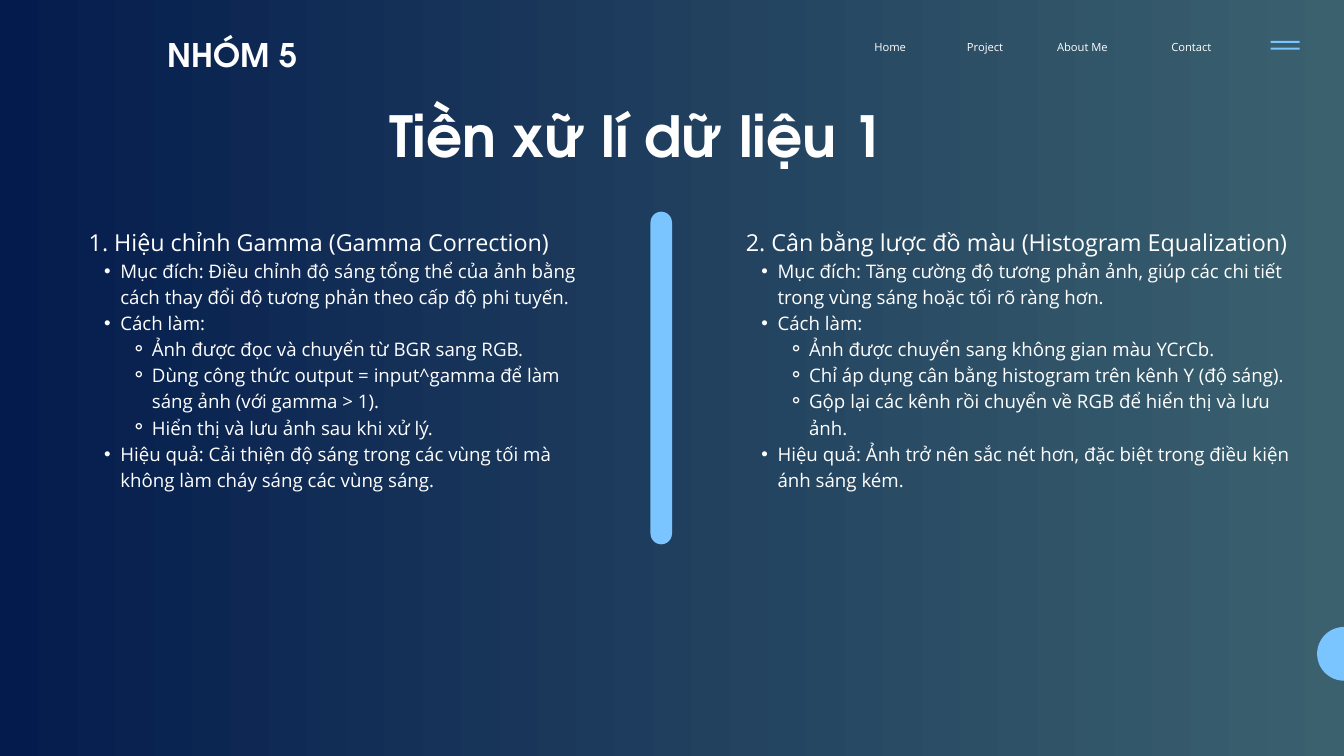
from lxml.etree import SubElement
from pptx import Presentation
from pptx.dml.color import RGBColor
from pptx.enum.shapes import MSO_SHAPE as Kind
from pptx.enum.text import MSO_ANCHOR as Anchor, MSO_AUTO_SIZE as Fit, PP_ALIGN as Align
from pptx.oxml.ns import qn
from pptx.util import Inches, Pt

WIDE, HIGH = 20, 11.25
WHITE, SKY = "FFFFFF", "7AC4FF"
NIGHT, TEAL = "041C4D", "3B616F"
SANS, HEAD = "Open Sans", "TeX Gyre Adventor"

TITLE = "Tiền xữ lí dữ liệu 1"
GROUP = "NHÓM 5"
MENU = [("Home", 13.01, 0.89), ("Project", 14.39, 0.8),
        ("About Me", 15.73, 1.16), ("Contact", 17.43, 1.07)]

# Each column: left, width, lines of (level, text)
COLUMNS = [
    (1.32, 7.51, [
        (0, "1. Hiệu chỉnh Gamma (Gamma Correction)"),
        (1, "Mục đích: Điều chỉnh độ sáng tổng thể của ảnh bằng cách thay đổi "
            "độ tương phản theo cấp độ phi tuyến."),
        (1, "Cách làm:"),
        (2, "Ảnh được đọc và chuyển từ BGR sang RGB."),
        (2, "Dùng công thức output = input^gamma để làm sáng ảnh (với gamma > 1)."),
        (2, "Hiển thị và lưu ảnh sau khi xử lý."),
        (1, "Hiệu quả: Cải thiện độ sáng trong các vùng tối mà không làm cháy "
            "sáng các vùng sáng."),
    ]),
    (11.1, 8.17, [
        (0, "2. Cân bằng lược đồ màu (Histogram Equalization)"),
        (1, "Mục đích: Tăng cường độ tương phản ảnh, giúp các chi tiết trong "
            "vùng sáng hoặc tối rõ ràng hơn."),
        (1, "Cách làm:"),
        (2, "Ảnh được chuyển sang không gian màu YCrCb."),
        (2, "Chỉ áp dụng cân bằng histogram trên kênh Y (độ sáng)."),
        (2, "Gộp lại các kênh rồi chuyển về RGB để hiển thị và lưu ảnh."),
        (1, "Hiệu quả: Ảnh trở nên sắc nét hơn, đặc biệt trong điều kiện ánh "
            "sáng kém."),
    ]),
]

# Per level: bullet, left margin, hanging indent, text size, line pitch
LEVELS = [(None, 0, 0, 25, 35), ("•", 0.47, -0.24, 20, 28), ("⚬", 0.94, -0.31, 20, 28)]


def paint(color, hue):
    color.rgb = RGBColor.from_string(hue)


def place(shape, *box):
    shape.left, shape.top, shape.width, shape.height = map(Inches, box)


def frame(shape):
    """Give a text shape no insets, wrapped text and a top anchor."""
    text = shape.text_frame
    text.margin_left = text.margin_top = text.margin_right = text.margin_bottom = 0
    text.word_wrap = True
    text.auto_size = Fit.SHAPE_TO_FIT_TEXT
    text.vertical_anchor = Anchor.TOP
    return text


def write(para, words, size, pitch, face=SANS, bold=False, align=Align.LEFT):
    para.alignment = align
    para.line_spacing = Pt(pitch)
    para.space_before = Pt(0)
    run = para.add_run()
    run.text = words
    font = run.font
    font.name, font.size, font.bold = face, Pt(size), bold
    paint(font.color, WHITE)


def label(slide, words, box, *style):
    shape = slide.shapes.add_textbox(*map(Inches, box))
    write(frame(shape).paragraphs[0], words, *style)


def item(para, level, words):
    mark, left, hang, size, pitch = LEVELS[level]
    para.level = level
    props = para._p.get_or_add_pPr()
    props.set("marL", str(Inches(left)))
    props.set("indent", str(Inches(hang)))
    if mark:
        SubElement(props, qn("a:buChar")).set("char", mark)
    else:
        SubElement(props, qn("a:buNone"))
    write(para, words, size, pitch)


def block(slide, kind, *box):
    shape = slide.shapes.add_shape(kind, *map(Inches, box))
    shape.shadow.inherit = False
    shape.fill.solid()
    paint(shape.fill.fore_color, SKY)
    shape.line.fill.background()
    return shape


def main():
    deck = Presentation()
    deck.slide_width, deck.slide_height = Inches(WIDE), Inches(HIGH)
    slide = deck.slides.add_slide(deck.slide_layouts.get_by_name("Two Content"))

    back = slide.background.fill
    back.gradient()
    back.gradient_angle = 0
    for stop, hue in zip(back.gradient_stops, (NIGHT, TEAL)):
        paint(stop.color, hue)

    for row in range(2):
        block(slide, Kind.RECTANGLE, 18.91, 0.61 + 0.1 * row, 0.43, 0.03)
    block(slide, Kind.OVAL, WIDE - 0.4, 9.33, 0.8, 0.8)
    bar = block(slide, Kind.ROUNDED_RECTANGLE, 9.68, 3.15, 0.32, 4.95)
    bar.adjustments[0] = 0.5

    label(slide, GROUP, (2.13, 0.42, 2.66, 0.64), 34.8, 48.6, HEAD, True, Align.CENTER)
    for words, left, width in MENU:
        label(slide, words, (left, 0.56, width, 0.22), 12, 16.8)

    title, *bodies = slide.placeholders
    place(title, 5.79, 1.33, 11.64, 1.14)
    write(frame(title).paragraphs[0], TITLE, 60.7, 85, HEAD, True)

    for body, (left, width, lines) in zip(bodies, COLUMNS):
        place(body, left, 3.32, width, 4.32)
        text = frame(body)
        for n, (level, words) in enumerate(lines):
            item(text.add_paragraph() if n else text.paragraphs[0], level, words)

    deck.save("out.pptx")


if __name__ == "__main__":
    main()
